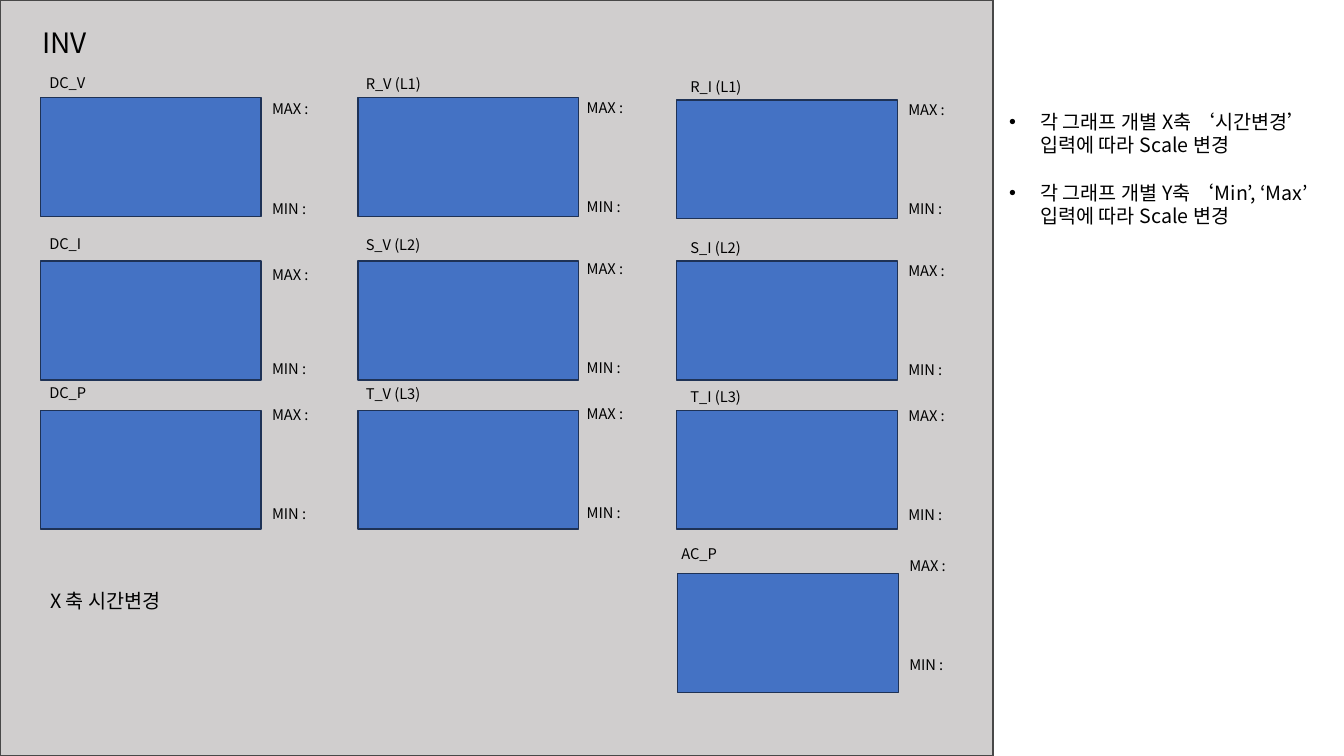
import pptx
import pptx.dml.color
import pptx.enum.shapes
import pptx.oxml.ns
import pptx.util
from lxml import etree
from pptx.util import Inches

FONT = "Noto Sans CJK KR"
PANEL_SIZE = (2.19, 1.18)

COLUMNS = [
    {
        "left": 0.4, "name_left": 0.39, "name_width": 0.61, "limit_left": 2.6, "limit_width": 0.61,
        "panels": [
            ("DC_V", 0.97, 0.68, 0.94, 1.93),
            ("DC_I", 2.59, 2.28, 2.59, 3.52),
            ("DC_P", 4.07, 3.76, 3.98, 4.96),
        ],
    },
    {
        "left": 3.55, "name_left": 3.53, "name_width": 1.17, "limit_left": 5.72, "limit_width": 1.32,
        "panels": [
            ("R_V (L1)", 0.97, 0.69, 0.93, 1.91),
            ("S_V (L2)", 2.59, 2.29, 2.53, 3.51),
            ("T_V (L3)", 4.07, 3.77, 3.97, 4.95),
        ],
    },
    {
        "left": 6.71, "name_left": 6.75, "name_width": 1.17, "limit_left": 8.91, "limit_width": 1.32,
        "panels": [
            ("R_I (L1)", 0.99, 0.72, 0.95, 1.93),
            ("S_I (L2)", 2.59, 2.32, 2.55, 3.53),
            ("T_I (L3)", 4.07, 3.8, 3.99, 4.97),
        ],
    },
    {
        "left": 6.72, "name_left": 6.66, "name_width": 0.61, "limit_left": 8.92, "limit_width": 1.32,
        "panels": [("AC_P", 5.69, 5.36, 5.47, 6.46)],
    },
]

NOTES = [
    "각 그래프 개별 X축 ‘시간변경’ 입력에 따라 Scale 변경",
    "각 그래프 개별 Y축 ‘Min’, ‘Max’ 입력에 따라 Scale 변경",
]


def color(value):
    return pptx.dml.color.RGBColor.from_string(value)


def apply_format(target, values):
    for name, value in values.items():
        setattr(target, name, value)


def write_run(paragraph, words, size):
    run = paragraph.add_run()
    run.text = words
    apply_format(run.font, {"size": pptx.util.Pt(size), "name": FONT})
    run.font.color.rgb = color("000000")
    east_asian = etree.SubElement(run.font._element, pptx.oxml.ns.qn("a:ea"))
    east_asian.set("typeface", FONT)


def add_frame(slide, box):
    frame = slide.shapes.add_textbox(*map(Inches, box)).text_frame
    frame.word_wrap = True
    return frame


def add_label(slide, box, words, size=10.5):
    write_run(add_frame(slide, box).paragraphs[0], words, size)


def add_rectangle(slide, box, fill, line):
    rectangle = slide.shapes.add_shape(
        pptx.enum.shapes.MSO_SHAPE.RECTANGLE, *map(Inches, box))
    rectangle.shadow.inherit = False
    rectangle.fill.solid()
    rectangle.fill.fore_color.rgb = color(fill)
    rectangle.line.color.rgb = color(line)
    rectangle.line.width = pptx.util.Pt(1)


def add_column(slide, column):
    for name, top, name_top, max_top, min_top in column["panels"]:
        add_rectangle(slide, (column["left"], top, *PANEL_SIZE), "4472C4", "1E3256")
        add_label(slide, (column["name_left"], name_top, column["name_width"], 0.28), name)
        for limit, limit_top in (("MAX :", max_top), ("MIN :", min_top)):
            add_label(slide, (column["limit_left"], limit_top, column["limit_width"], 0.28), limit)


def add_monitor(slide, box):
    left, top, width, height = box
    add_rectangle(slide, box, "D0CECE", "484848")
    add_label(slide, (left + 0.32, top + 0.2, 2.18, 0.44), "INV", 20)
    for column in COLUMNS:
        add_column(slide, column)
    add_label(slide, (left + 0.4, top + 5.79, 1.64, 0.34), "X 축 시간변경", 14)


def add_notes(slide, box):
    frame = add_frame(slide, box)
    for index, note in enumerate(NOTES):
        paragraph = frame.paragraphs[0] if index == 0 else frame.add_paragraph()
        properties = paragraph._p.get_or_add_pPr()
        properties.set("marL", str(Inches(0.31)))
        properties.set("indent", str(-Inches(0.31)))
        bullet_font = etree.SubElement(properties, pptx.oxml.ns.qn("a:buFont"))
        bullet_font.set("typeface", "Arial")
        bullet = etree.SubElement(properties, pptx.oxml.ns.qn("a:buChar"))
        bullet.set("char", "•")
        if index:
            paragraph.space_before = pptx.util.Pt(17)
        write_run(paragraph, note, 14)


def main():
    deck = pptx.Presentation()
    apply_format(deck, {"slide_width": Inches(13.33), "slide_height": Inches(7.5)})
    slide = deck.slides.add_slide(deck.slide_layouts[6])
    add_monitor(slide, (0, 0, 9.85, 7.5))
    add_notes(slide, (9.91, 1.04, 3.19, 1.75))
    deck.save("out.pptx")


if __name__ == "__main__":
    main()
